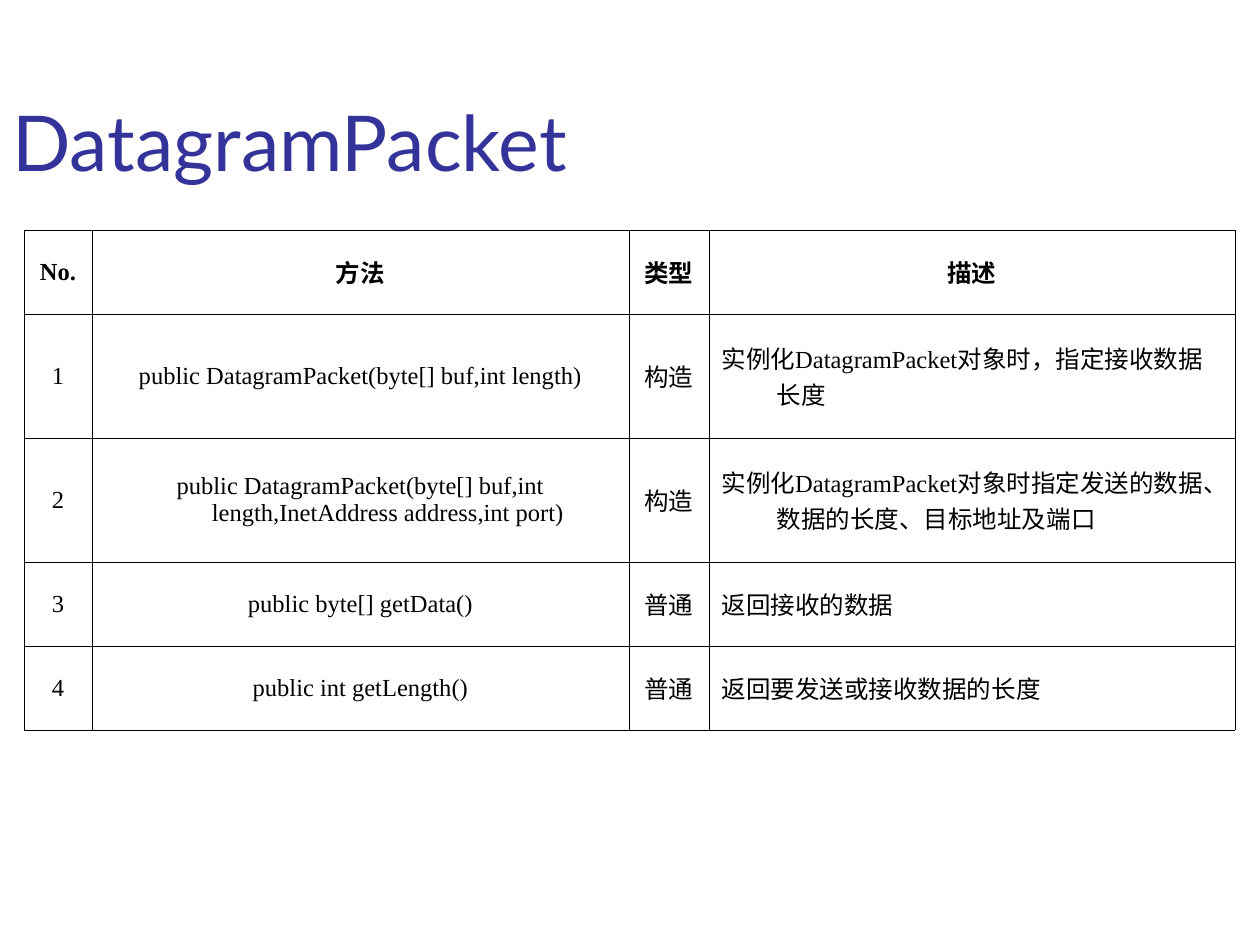
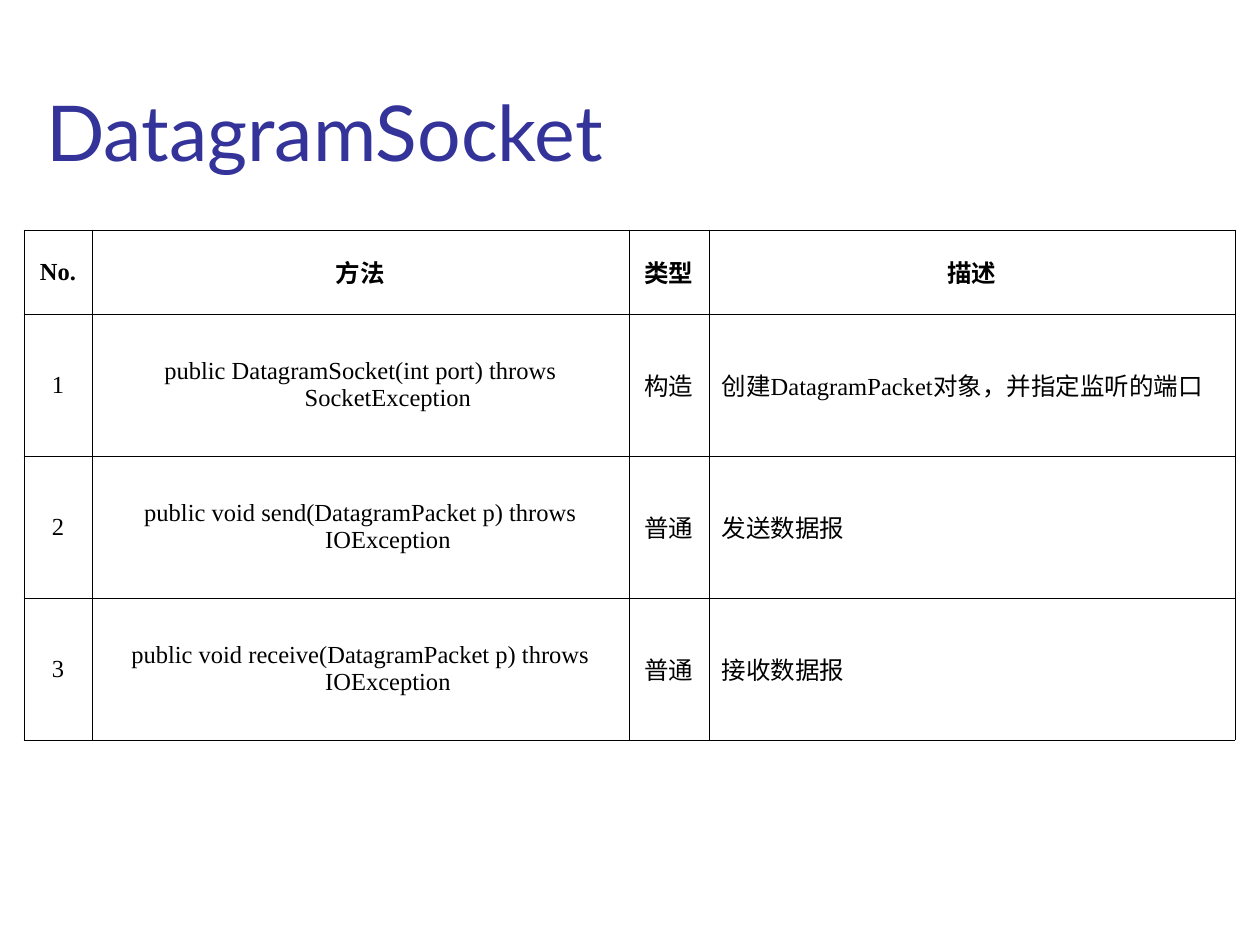
from lxml import etree
from pptx import Presentation, util as u
from pptx.dml import color
from pptx.enum import text
from pptx.oxml import ns

SCALE = u.Inches(1) / 126
TITLE_COLOR, INK = "333399", "000000"
TITLE_FONT, TABLE_FONT = "Lato", "Times New Roman"
TITLE_SIZE = (1074, 157)
TABLE_ORIGIN = (24, 230)
COLUMN_WIDTHS = [68, 537, 80, 526]
HANGING_INDENT = 55
BORDER_POINTS = 0.45
HEADER = ["No.", "方法", "类型", "描述"]

# Each class: name, title position, row heights, (method, type, description)
CLASSES = [
    ("DatagramPacket", (0, 36), [84, 124, 124, 84, 84], [
        ("public DatagramPacket(byte[] buf,int length)", "构造",
         "实例化DatagramPacket对象时，指定接收数据长度"),
        ("public DatagramPacket(byte[] buf,int length,InetAddress address,int port)",
         "构造", "实例化DatagramPacket对象时指定发送的数据、数据的长度、目标地址及端口"),
        ("public byte[] getData()", "普通", "返回接收的数据"),
        ("public int getLength()", "普通", "返回要发送或接收数据的长度"),
    ]),
    ("DatagramSocket", (34, 26), [84, 142, 142, 142], [
        ("public DatagramSocket(int port) throws SocketException", "构造",
         "创建DatagramPacket对象，并指定监听的端口"),
        ("public void send(DatagramPacket p) throws IOException", "普通", "发送数据报"),
        ("public void receive(DatagramPacket p) throws IOException", "普通", "接收数据报"),
    ]),
]


def px(length):
    return u.Emu(round(length * SCALE))


def rgb(hex_string):
    return color.RGBColor.from_string(hex_string)


def set_font(paragraph, name, size, hex_color, bold=False):
    font = paragraph.font
    font.name, font.size, font.bold = name, u.Pt(size), bold
    font.color.rgb = rgb(hex_color)


def add_title(slide, title, position):
    box = slide.shapes.add_textbox(*map(px, position + TITLE_SIZE))
    frame = box.text_frame
    frame.word_wrap = True
    frame.vertical_anchor = text.MSO_ANCHOR.BOTTOM
    frame.text = title
    set_font(frame.paragraphs[0], TITLE_FONT, 44, TITLE_COLOR)


def add_borders(cell):
    properties = cell._tc.get_or_add_tcPr()
    for side in "LRTB":
        line = etree.SubElement(properties, ns.qn(f"a:ln{side}"),
                                w=str(u.Pt(BORDER_POINTS)))
        fill = etree.SubElement(line, ns.qn("a:solidFill"))
        etree.SubElement(fill, ns.qn("a:srgbClr"), val=INK)


def fill_cell(cell, content, is_header, centered):
    add_borders(cell)
    cell.fill.background()
    cell.vertical_anchor = text.MSO_ANCHOR.MIDDLE
    cell.text = content
    paragraph = cell.text_frame.paragraphs[0]
    paragraph.alignment = text.PP_ALIGN.CENTER if centered else text.PP_ALIGN.LEFT
    # Hanging indent for wrapped lines
    indent = px(HANGING_INDENT)
    paragraph_properties = paragraph._p.get_or_add_pPr()
    paragraph_properties.set("marL", str(indent))
    paragraph_properties.set("indent", str(-indent))
    set_font(paragraph, TABLE_FONT, 14, INK, is_header)


def add_method_table(slide, origin, row_heights, methods):
    rows = [HEADER] + [(str(number), *method)
                       for number, method in enumerate(methods, 1)]
    size = (sum(COLUMN_WIDTHS), sum(row_heights))
    table = slide.shapes.add_table(len(rows), len(HEADER),
                                   *map(px, origin + size)).table
    table.first_row = table.horz_banding = False
    for column, width in zip(table.columns, COLUMN_WIDTHS):
        column.width = px(width)
    for row, height in zip(table.rows, row_heights):
        row.height = px(height)
    # Everything is centered except the descriptions
    for row_index, values in enumerate(rows):
        is_header = row_index == 0
        for column_index, content in enumerate(values):
            centered = is_header or column_index < len(HEADER) - 1
            fill_cell(table.cell(row_index, column_index), content,
                      is_header, centered)


def main():
    presentation = Presentation()
    presentation.slide_width, presentation.slide_height = px(1260), px(945)
    for name, title_position, row_heights, methods in CLASSES:
        slide = presentation.slides.add_slide(presentation.slide_layouts[6])
        add_title(slide, name, title_position)
        add_method_table(slide, TABLE_ORIGIN, row_heights, methods)
    presentation.save("out.pptx")


if __name__ == "__main__":
    main()
